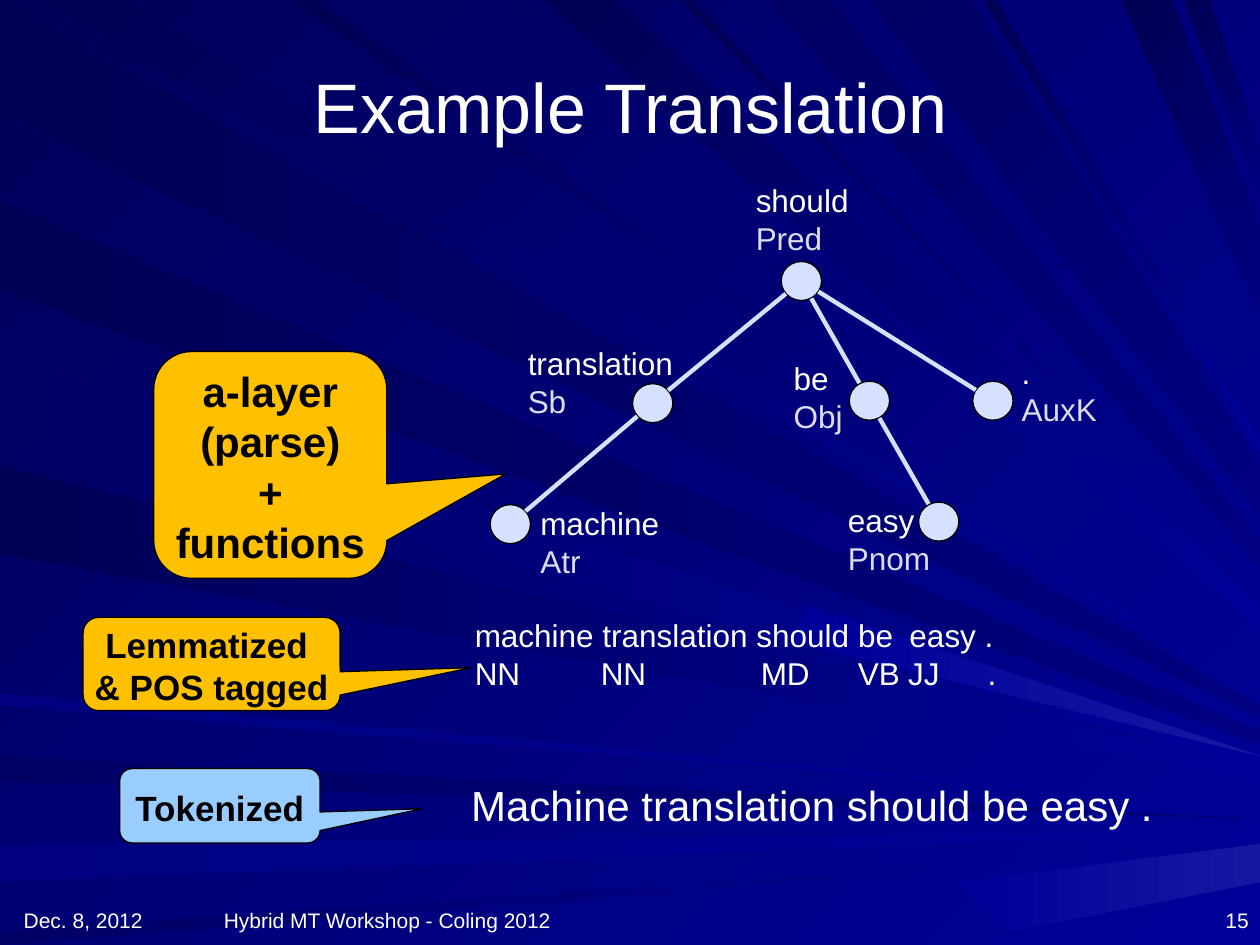
from math import hypot

from lxml.etree import SubElement
from pptx import Presentation
from pptx.dml.color import RGBColor
from pptx.enum.shapes import MSO_CONNECTOR, MSO_SHAPE
from pptx.enum.text import MSO_ANCHOR as Anchor, PP_ALIGN as Align
from pptx.oxml.ns import qn
from pptx.util import Inches, Pt

# Grid of 100 columns by 75 rows; all positions count in its cells
COLUMNS, ROWS = 100, 75
CELL = Inches(10) // COLUMNS
FONT = "Arial"
COLORS = {
    "night": "000058", "deep": "000099", "shade": "000055", "dusk": "000065",
    "dim": "000080", "glow": "1717A2", "text": "FFFFFF", "function": "DDDDEA",
    "node": "D6E0FF", "amber": "FFC000", "sky": "99CCFF", "ink": "000000",
}

# Rays run from a stretch of the left or top edge towards one vanishing point
VANISHING = (118, 65.5)
LEFT_RAYS = [(0, 9, "shade", "dim"), (16, 23, "shade", "dim"), (28, 34, "dusk", "deep"),
             (37, 44, "shade", "deep"), (55, 56, "dim", "deep"), (60, 62, "dusk", "dim"),
             (67, 70, "dim", "deep"), (74, 75, "dusk", "deep")]
TOP_RAYS = [(3, 10, "shade", "deep"), (23, 25, "shade", "deep"), (40, 42, "dusk", "deep"),
            (43, 49, "shade", "deep"), (54, 55, "shade", "deep"), (61, 66, "dusk", "dim"),
            (69, 77, "dusk", "dim"), (78, 79, "shade", "deep"), (89, 93, "shade", "dim"),
            (94, 96, "shade", "dim")]
HIGHLIGHTS = [[(64, 48.5), (63, 51), (100, 60.5)], [(76, 70), (100, 67), (100, 69.5), (80, 74)]]

# Dependency tree: word, function, node centre, label left, top and width
TREE = [
    ("machine", "Atr", (40.5, 41.6), (41.9, 39.5, 11.4)),
    ("translation", "Sb", (51.8, 32), (40.9, 26.8, 13.5)),
    ("should", "Pred", (63.6, 22.3), (59, 13.9, 9.3)),
    ("be", "Obj", (69, 31.8), (62, 28, 5.9)),
    ("easy", "Pnom", (74.5, 41.4), (66.3, 39.3, 8.5)),
    (".", "AuxK", (78.8, 31.8), (80.1, 27.5, 8)),
]
EDGES = [("machine", "translation"), ("translation", "should"), (".", "should"),
         ("be", "should"), ("easy", "be")]
NODE_WIDTH, NODE_HEIGHT = 3.2, 3.1


def cells(*counts):
    return [round(count * CELL) for count in counts]


def rgb(name):
    return RGBColor.from_string(COLORS[name])


def paint_gradient(fill, first, last, angle):
    fill.gradient()
    fill.gradient_angle = (360 - angle) % 360
    for stop, color in zip(fill.gradient_stops, (first, last)):
        stop.color.rgb = rgb(color)


def paint_solid(shape, color):
    shape.shadow.inherit = False
    shape.fill.solid()
    shape.fill.fore_color.rgb = rgb(color)
    shape.line.color.rgb = rgb("ink")
    shape.line.width = Pt(0.75)


def write(frame, lines, size, colors=("text",), align=Align.LEFT, bold=False):
    """Write one paragraph a line; the last colour serves any further lines."""
    for index, line in enumerate(lines):
        paragraph = frame.paragraphs[0] if index == 0 else frame.add_paragraph()
        paragraph.text = line
        paragraph.alignment = align
        for run in paragraph.runs:
            run.font.name, run.font.size, run.font.bold = FONT, Pt(size), bold
            run.font.color.rgb = rgb(colors[min(index, len(colors) - 1)])


def add_text(slide, place, lines, size, anchor=Anchor.TOP, right_inset=0, **style):
    frame = slide.shapes.add_textbox(*cells(*place)).text_frame
    frame.word_wrap = True
    frame.margin_right = cells(right_inset)[0]
    frame.vertical_anchor = anchor
    write(frame, lines, size, **style)
    return frame


def add_tab_stops(paragraph, stops):
    tab_list = SubElement(paragraph._p.get_or_add_pPr(), qn("a:tabLst"))
    for stop in cells(*stops):
        SubElement(tab_list, qn("a:tab"), pos=str(stop), algn="l")


def add_callout(slide, place, lines, size, color):
    callout = slide.shapes.add_shape(MSO_SHAPE.ROUNDED_RECTANGULAR_CALLOUT, *cells(*place))
    callout.adjustments[0] = 1.01
    callout.adjustments[1] = 0.04
    paint_solid(callout, color)
    frame = callout.text_frame
    frame.word_wrap = False
    frame.vertical_anchor = Anchor.MIDDLE
    frame.margin_top = cells(0.7)[0]
    write(frame, lines, size, ("ink",), Align.CENTER, True)


def add_ray(slide, outline, first, last, angle):
    builder = slide.shapes.build_freeform(*outline[0], scale=CELL)
    builder.add_line_segments(outline[1:], close=True)
    ray = builder.convert_to_shape()
    ray.shadow.inherit = False
    ray.line.fill.background()
    paint_gradient(ray.fill, first, last, angle)


def at_right_edge(start):
    """Where the way from start to the vanishing point leaves the slide."""
    share = (COLUMNS - start[0]) / (VANISHING[0] - start[0])
    return COLUMNS, start[1] + share * (VANISHING[1] - start[1])


def add_backdrop(slide):
    paint_gradient(slide.background.fill, "night", "deep", 45)
    starts = [((0, low), (0, high), first, last, 0) for low, high, first, last in LEFT_RAYS]
    starts += [((low, 0), (high, 0), first, last, 45) for low, high, first, last in TOP_RAYS]
    for near, far, *paint in starts:
        add_ray(slide, [near, far, at_right_edge(far), at_right_edge(near)], *paint)
    for outline in HIGHLIGHTS:
        add_ray(slide, outline, "deep", "glow", 0)


def add_node(slide, center):
    left, top = center[0] - NODE_WIDTH / 2, center[1] - NODE_HEIGHT / 2
    node = slide.shapes.add_shape(MSO_SHAPE.OVAL, *cells(left, top, NODE_WIDTH, NODE_HEIGHT))
    paint_solid(node, "node")


def add_edge(slide, child, parent):
    """Join two nodes from rim to rim along the line of their centres."""
    across, down = parent[0] - child[0], parent[1] - child[1]
    share = NODE_WIDTH / 2 / hypot(across, down)
    trim_x, trim_y = across * share, down * share
    edge = slide.shapes.add_connector(MSO_CONNECTOR.STRAIGHT, *cells(
        child[0] + trim_x, child[1] + trim_y, parent[0] - trim_x, parent[1] - trim_y))
    edge.line.color.rgb = rgb("node")
    edge.line.width = Pt(2.5)
    SubElement(edge._element.spPr, qn("a:effectLst"))


def add_tree(slide):
    centers = {word: center for word, _, center, _ in TREE}
    for center in centers.values():
        add_node(slide, center)
    for child, parent in EDGES:
        add_edge(slide, centers[child], centers[parent])
    for word, function, _, (left, top, width) in TREE:
        add_text(slide, (left, top, width, 7), [word, function], 18,
                 colors=("text", "function"))


def main():
    deck = Presentation()
    deck.slide_width, deck.slide_height = cells(COLUMNS, ROWS)
    slide = deck.slides.add_slide(deck.slide_layouts[6])
    add_backdrop(slide)

    # Title
    add_text(slide, (13, 2.1, 74.1, 12.5), ["Example Translation"], 40,
             Anchor.MIDDLE, 1, align=Align.CENTER)

    # Sentence and its tags
    add_text(slide, (36.4, 61.4, 56.1, 5), ["Machine translation should be easy ."], 24)
    tagged = add_text(slide, (36.7, 48.4, 43.4, 7), [
        "machine translation should be\teasy .", "NN\tNN\tMD\tVB\tJJ\t."], 18)
    add_tab_stops(tagged.paragraphs[0], [34.5])
    add_tab_stops(tagged.paragraphs[1], [10, 22.7, 30.4, 34.4, 40.7])

    add_tree(slide)

    # Names of the layers
    add_callout(slide, (9.5, 61, 15.9, 5.9), ["Tokenized"], 20, "sky")
    add_callout(slide, (6.6, 49, 20.4, 7.4), ["Lemmatized ", "& POS tagged"], 20, "amber")
    add_callout(slide, (12.2, 27.9, 18.5, 18), ["a-layer", "(parse)", "+", "functions"], 24, "amber")

    # Footer
    for left, width, words, align in [
            (0.9, 23.3, "Dec. 8, 2012", Align.LEFT),
            (14.9, 31.7, "Hybrid MT Workshop - Coling 2012", Align.CENTER),
            (76.8, 23.3, "15", Align.RIGHT)]:
        add_text(slide, (left, 69.5, width, 5), [words], 12, Anchor.BOTTOM, 1, align=align)

    deck.save("out.pptx")


if __name__ == "__main__":
    main()
